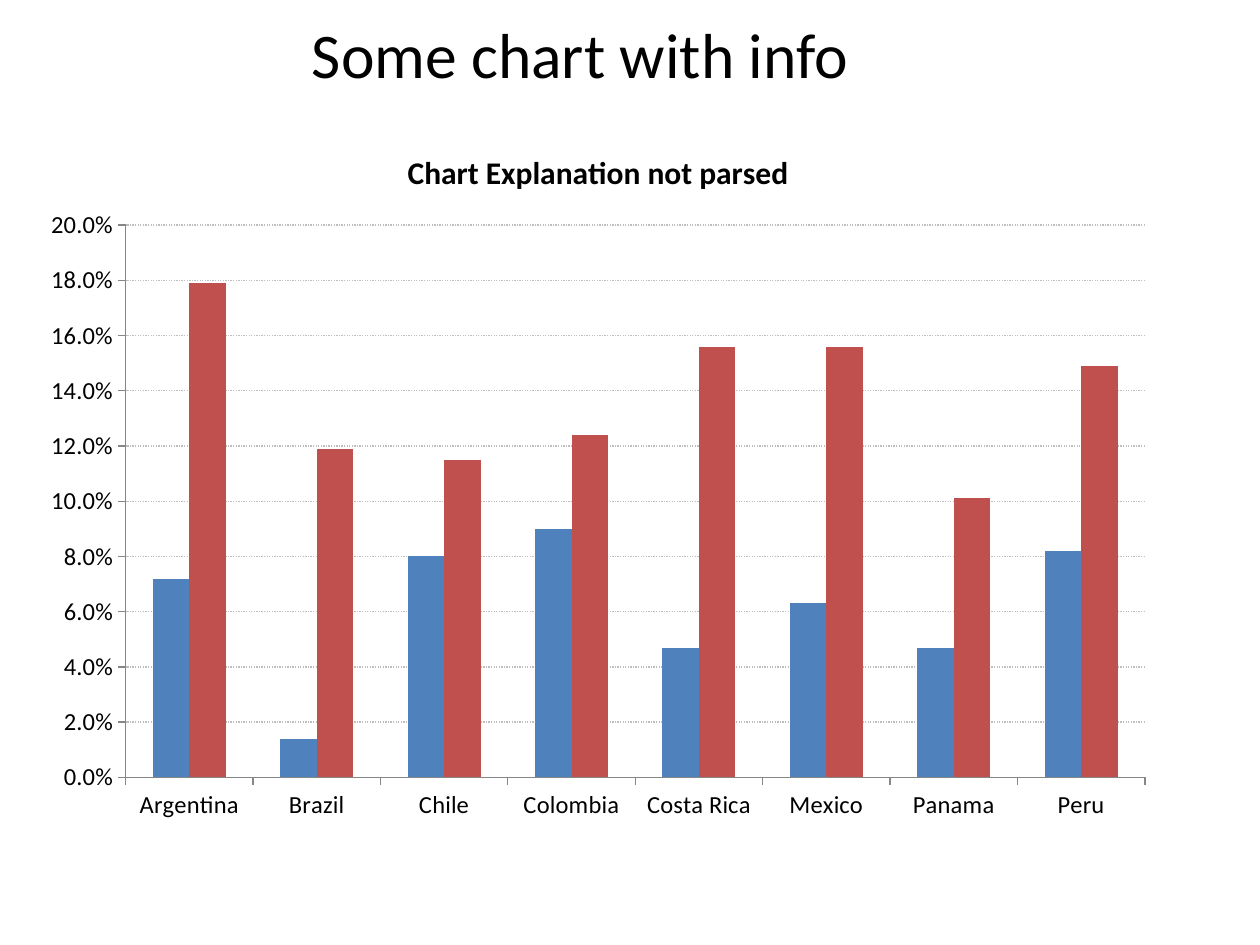
from lxml import etree
from pptx import Presentation
from pptx.chart.data import CategoryChartData
from pptx.dml.color import RGBColor
from pptx.enum.chart import XL_CHART_TYPE, XL_TICK_MARK
from pptx.enum.dml import MSO_LINE
from pptx.enum.text import MSO_ANCHOR, PP_ALIGN
from pptx.util import Cm, Pt

COLUMN = XL_CHART_TYPE.COLUMN_CLUSTERED
OUT, NONE = XL_TICK_MARK.OUTSIDE, XL_TICK_MARK.NONE
DOTS = MSO_LINE.ROUND_DOT
MID, CENTER = MSO_ANCHOR.MIDDLE, PP_ALIGN.CENTER
NS = "http://schemas.openxmlformats.org/drawingml/2006/chart"
FACE = "Calibri"
LANDS = ["Argentina", "Brazil", "Chile", "Colombia",
         "Costa Rica", "Mexico", "Panama", "Peru"]
SERIES = [
    ("Series 1", "4F81BD", [7.2, 1.4, 8, 9, 4.7, 6.3, 4.7, 8.2]),
    ("Series 2", "C0504D", [17.9, 11.9, 11.5, 12.4, 15.6, 15.6, 10.1, 14.9]),
]
PLOT = {"layoutTarget": "inner", "xMode": "edge", "yMode": "edge",
        "x": 0.085, "y": 0.143, "w": 0.895, "h": 0.777}


def tint(code):
    return RGBColor.from_string(code)


def apply(item, **values):
    for name, value in values.items():
        setattr(item, name, value)


def style(font, size, bold=False):
    apply(font, name=FACE, size=Pt(size), bold=bold)
    font.color.rgb = tint("000000")


def stroke(line, code, width):
    line.color.rgb = tint(code)
    line.width = Pt(width)


def place(chart):
    area = chart.plots[0]._element.getparent()
    for old in area.findall(f"{{{NS}}}layout"):
        area.remove(old)
    layout = etree.Element(f"{{{NS}}}layout")
    manual = etree.SubElement(layout, f"{{{NS}}}manualLayout")
    for name, value in PLOT.items():
        etree.SubElement(manual, f"{{{NS}}}{name}").set("val", str(value))
    area.insert(0, layout)


def add_title(slide, box, text):
    frame = slide.shapes.add_textbox(*box).text_frame
    apply(frame, word_wrap=True, vertical_anchor=MID, margin_top=0,
          margin_bottom=0)
    para = frame.paragraphs[0]
    para.alignment = CENTER
    run = para.add_run()
    run.text = text
    style(run.font, 36.3)


def add_bars(slide, box, text):
    data = CategoryChartData(number_format="0.0")
    data.categories = LANDS
    for name, code, values in SERIES:
        data.add_series(name, values)
    chart = slide.shapes.add_chart(COLUMN, *box, data).chart
    apply(chart, has_legend=False, has_title=True)
    style(chart.font, 10)
    head = chart.chart_title.text_frame
    head.text = text
    style(head.paragraphs[0].runs[0].font, 18, True)

    plot = chart.plots[0]
    apply(plot, gap_width=150, overlap=0, vary_by_categories=False)
    for bars, (name, code, values) in zip(plot.series, SERIES):
        bars.invert_if_negative = False
        bars.format.fill.solid()
        bars.format.fill.fore_color.rgb = tint(code)

    for axis in (chart.category_axis, chart.value_axis):
        apply(axis, major_tick_mark=OUT, minor_tick_mark=NONE)
        style(axis.tick_labels.font, 14)
        stroke(axis.format.line, "868686", 0.75)
    scale = chart.value_axis
    apply(scale, minimum_scale=0, maximum_scale=20, major_unit=2,
          has_major_gridlines=True)
    apply(scale.tick_labels, number_format='0.0"%"',
          number_format_is_linked=False)
    grid = scale.major_gridlines.format.line
    stroke(grid, "BFBFBF", 0.75)
    grid.dash_style = DOTS
    place(chart)


def main():
    deck = Presentation()
    apply(deck, slide_width=Cm(25.4), slide_height=Cm(19.05))
    slide = deck.slides.add_slide(deck.slide_layouts[6])
    add_title(slide, (Cm(0.56), Cm(0.28), Cm(22.28), Cm(1.57)),
              "Some chart with info")
    add_bars(slide, (Cm(0.58), Cm(2.49), Cm(22.96), Cm(14.33)),
             "Chart Explanation not parsed")
    deck.save("out.pptx")


main()
